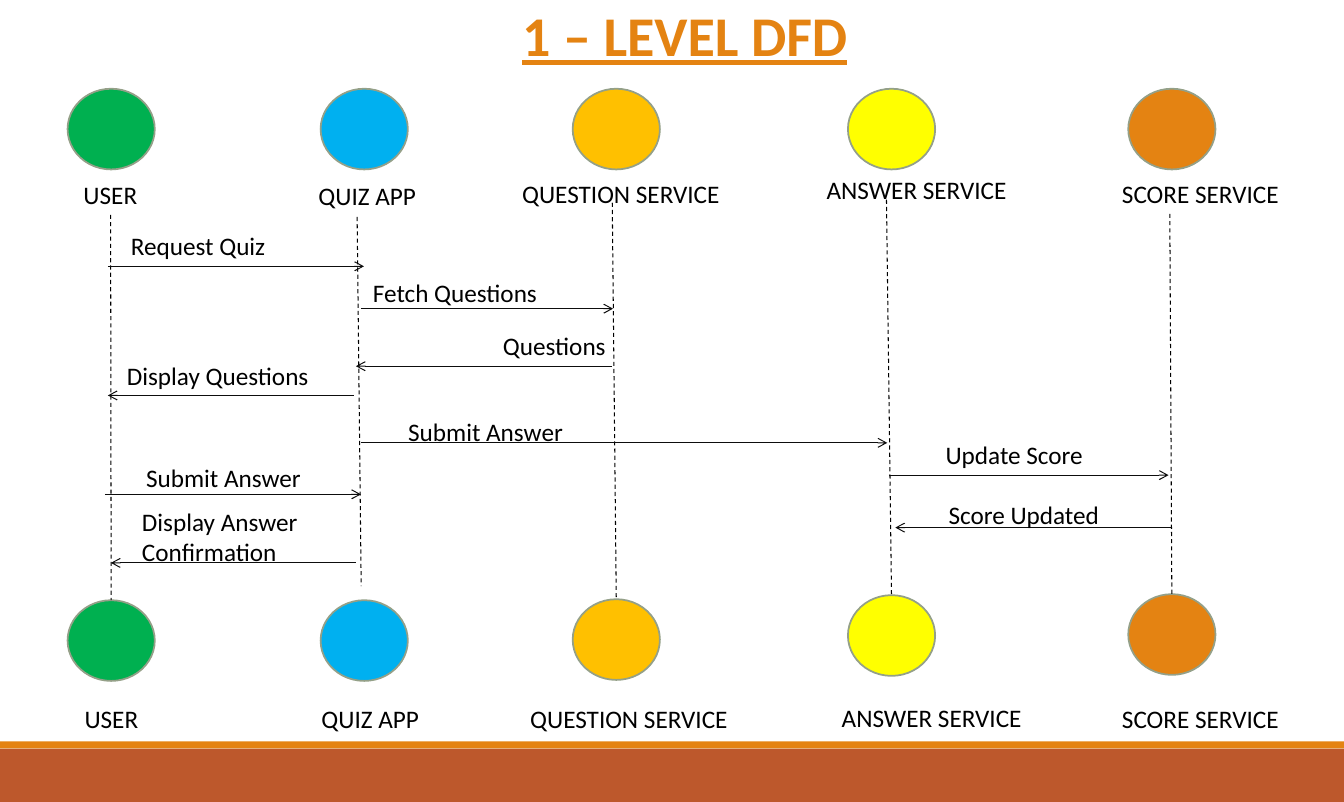
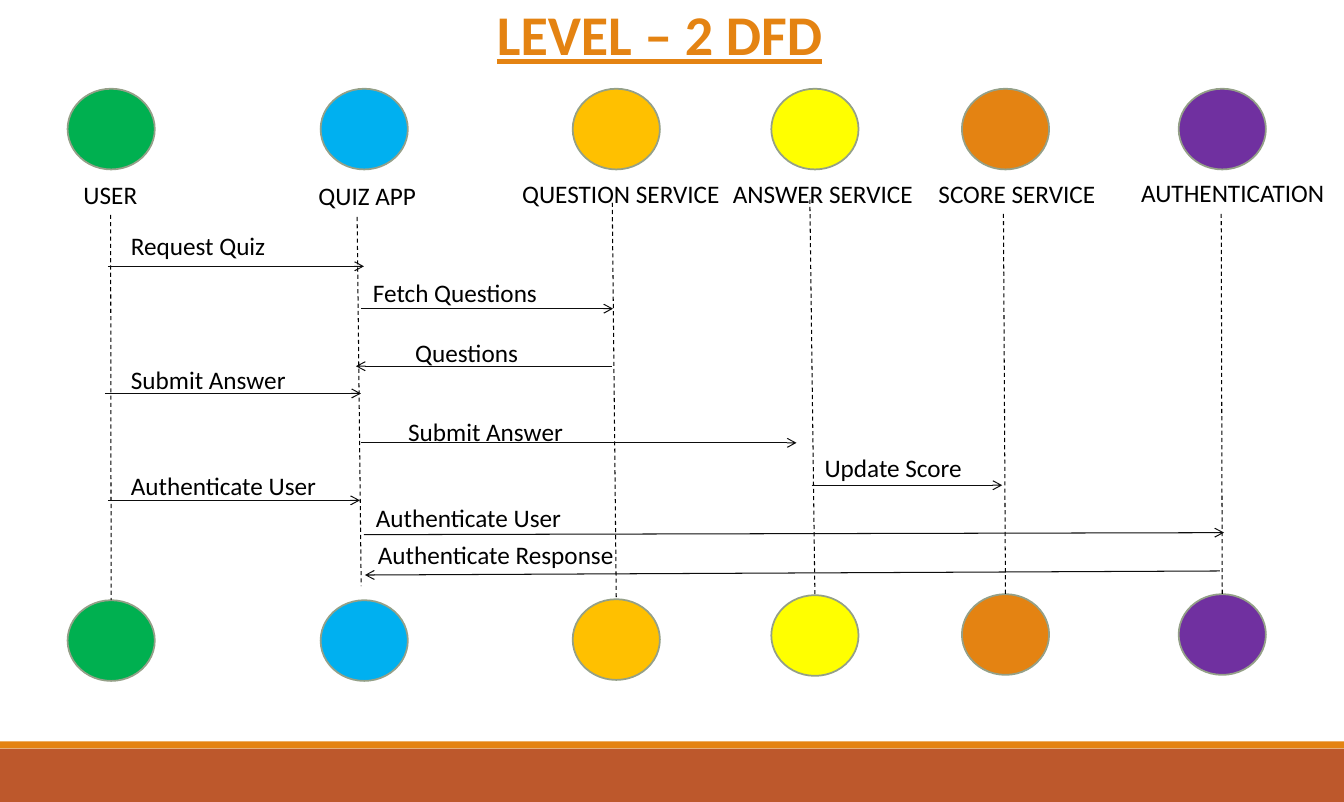
from dataclasses import dataclass

import pptx
import pptx.dml.color
import pptx.enum.dml
import pptx.enum.shapes
import pptx.enum.text
import pptx.oxml.xmlchemy
import pptx.util

COLUMNS, ROWS = 133.3, 79.5
CELL = pptx.util.Inches(0.1)


@dataclass(frozen=True)
class Theme:
    """Colours, type styles and line weights of the deck."""
    band: str = "BD582C"
    accent: str = "E48312"
    ink: str = "000000"
    arrow: str = "0D0D0D"
    outline: str = "94A088"
    outline_weight: float = 1.25
    thin: float = 0.75
    font: str = "Calibri"
    title_size: int = 40
    label_size: int = 18


@dataclass(frozen=True)
class Box:
    """A region measured in grid columns and rows."""
    left: float
    top: float
    width: float
    height: float

    def inner(self, column, row, width, height):
        """Return a region placed relative to this one."""
        return Box(self.left + column, self.top + row, width, height)

    def emu(self):
        """Return left, top, width and height in slide units."""
        return [cells(v) for v in (self.left, self.top, self.width, self.height)]


@dataclass(frozen=True)
class Actor:
    """A participant; rows count from the top of its head circle."""
    name: str
    color: str
    name_width: float
    height: float
    life_row: float
    lean: float
    life_end: tuple = ()


@dataclass(frozen=True)
class Lane:
    """An actor's column with the places of its captions."""
    actor: Actor
    column: float
    caption: tuple
    foot_caption: tuple = ()


@dataclass(frozen=True)
class Message:
    """An arrow between two columns and its caption place."""
    text: str
    start: float
    end: float
    row: float
    caption: tuple
    drop: float = 0
    wrap: bool = False


THEME = Theme()
TITLE_STYLE = {"name": THEME.font, "size": pptx.util.Pt(THEME.title_size),
               "bold": True, "underline": True}
LABEL_STYLE = {"name": THEME.font, "size": pptx.util.Pt(THEME.label_size)}
FOOTER = Box(0, 73.5, COLUMNS, 6)
DIAGRAM = Box(0, 8.8, COLUMNS, 64.7)
CIRCLE_WIDTH, CIRCLE_HEIGHT = 8.65, 8
LABEL_HEIGHT = 4

USER = Actor("USER", "00B050", 7.4, 58.7, 12.5, -0.05)
QUIZ = Actor("QUIZ APP", "00B0F0", 11.8, 58.7, 12.7, -0.7, (-0.3, 49.3))
QUESTION = Actor("QUESTION SERVICE", "FFC000", 21.8, 58.6, 11.3, -0.4)
ANSWER = Actor("ANSWER SERVICE", "FFFF00", 20, 58.2, 11, -0.5)
SCORE = Actor("SCORE SERVICE", THEME.accent, 17.7, 58.1, 12.4, -0.2)
AUTHENTICATION = Actor("AUTHENTICATION", "7030A0", 20.3, 58.1, 12.4, -0.1)

REQUEST = Message("Request Quiz", 10.7, 36.1, 17.6, (12, 13.5, 15.5))
FETCH = Message("Fetch Questions", 35.8, 60.8, 21.8, (36, 18.2, 18.5))

LEVEL_ONE_LANES = [
    Lane(USER, 6.7, (0.6, 8.5), (0.7, 60.4)),
    Lane(QUIZ, 31.8, (-1.2, 8.6), (-0.9, 60.4)),
    Lane(QUESTION, 56.8, (-6, 8.4), (-5.2, 60.4)),
    Lane(ANSWER, 84.1, (-3.1, 8), (-1.6, 60.3)),
    Lane(SCORE, 111.9, (-1.6, 8.4), (-1.6, 60.4)),
]
LEVEL_ONE_MESSAGES = [
    REQUEST,
    FETCH,
    Message("Questions", 60.7, 35.3, 27.5, (48.9, 23.5, 12.3)),
    Message("Display Questions", 35.1, 10.7, 30.4, (11.6, 26.4, 20.2)),
    Message("Submit Answer", 35.8, 88, 35.1, (39.5, 32, 17.5)),
    Message("Update Score", 88.2, 115.9, 38.3, (92.8, 34.3, 15.8)),
    Message("Submit Answer", 10.4, 35.8, 40.2, (13.5, 36.5, 17.5)),
    Message("Score Updated", 116.2, 88.8, 43.5, (93.1, 40.2, 17.1)),
    Message("Display Answer\nConfirmation", 35.3, 11, 47, (13.1, 40.9, 18.2)),
]
LEVEL_TWO_LANES = [
    Lane(USER, 6.7, (0.6, 8.5)),
    Lane(QUIZ, 31.8, (-1.2, 8.6)),
    Lane(QUESTION, 56.8, (-6, 8.4)),
    Lane(ANSWER, 76.5, (-4.8, 8.4)),
    Lane(SCORE, 95.4, (-3.3, 8.4)),
    Lane(AUTHENTICATION, 116.9, (-4.7, 8.3)),
]
LEVEL_TWO_MESSAGES = [
    REQUEST,
    FETCH,
    Message("Questions", 60.7, 35.3, 27.5, (40.2, 24.1, 12.3)),
    Message("Submit Answer", 10.4, 35.8, 30.2, (12, 26.8, 17.5)),
    Message("Submit Answer", 35.8, 79, 35.1, (39.5, 32, 17.5)),
    Message("Update Score", 80.5, 99.4, 39.3, (80.8, 35.5, 15.8)),
    Message("Authenticate User", 10.7, 35.7, 40.8, (12, 37.3, 20.6)),
    Message("Authenticate User", 36.1, 121.4, 44.2, (36.3, 40.5, 66.7), -0.2, True),
    Message("Authenticate Response", 121, 36.2, 47.8, (36.5, 44.2, 66.7), 0.4, True),
]


def cells(count):
    """Convert grid cells to slide units."""
    return round(count * CELL)


def rgb(color):
    """Return the colour object of a hex value."""
    return pptx.dml.color.RGBColor.from_string(color)


def add_text(slide, box, text, style, color=THEME.ink, wrap=False):
    """Write text, one paragraph a line, in a box that fits it."""
    frame = slide.shapes.add_textbox(*box.emu()).text_frame
    frame.text = text
    frame.word_wrap = wrap
    frame.auto_size = pptx.enum.text.MSO_AUTO_SIZE.SHAPE_TO_FIT_TEXT
    for paragraph in frame.paragraphs:
        for key, value in style.items():
            setattr(paragraph.font, key, value)
        paragraph.font.color.rgb = rgb(color)


def add_filled(slide, box, kind, color, outline=None):
    """Draw a filled preset shape, outlined when a colour is given."""
    shape = slide.shapes.add_shape(kind, *box.emu())
    shape.shadow.inherit = False
    shape.fill.solid()
    shape.fill.fore_color.rgb = rgb(color)
    if outline:
        shape.line.color.rgb = rgb(outline)
        shape.line.width = pptx.util.Pt(THEME.outline_weight)
    else:
        shape.line.fill.background()
    return shape


def add_line(slide, start, end, color):
    """Draw a thin straight connector without a shadow."""
    line = slide.shapes.add_connector(
        pptx.enum.shapes.MSO_CONNECTOR.STRAIGHT, *map(cells, (*start, *end)))
    line.line.color.rgb = rgb(color)
    line.line.width = pptx.util.Pt(THEME.thin)
    properties = line._element.spPr
    properties.append(pptx.oxml.xmlchemy.OxmlElement("a:effectLst"))
    return line


def draw_footer(slide, box):
    """Draw the stripe and the band at the foot of a slide."""
    stripe = 0.7
    rectangle = pptx.enum.shapes.MSO_SHAPE.RECTANGLE
    add_filled(slide, box.inner(0, stripe, box.width, box.height - stripe),
               rectangle, THEME.band)
    add_filled(slide, box.inner(0, 0, box.width, stripe), rectangle, THEME.accent)


def draw_lane(slide, box, lane):
    """Draw an actor's circles, captions and dashed lifeline."""
    actor = lane.actor
    oval = pptx.enum.shapes.MSO_SHAPE.OVAL
    _, foot = [
        add_filled(slide, box.inner(0, row, box.width, CIRCLE_HEIGHT),
                   oval, actor.color, THEME.outline)
        for row in (0, box.height - CIRCLE_HEIGHT)]
    for place in filter(None, (lane.caption, lane.foot_caption)):
        add_text(slide, box.inner(*place, actor.name_width, LABEL_HEIGHT),
                 actor.name, LABEL_STYLE)
    center = box.left + box.width / 2
    lean, end_row = actor.life_end or (0, box.height - CIRCLE_HEIGHT)
    life = add_line(slide, (center + actor.lean, box.top + actor.life_row),
                    (center + lean, box.top + end_row), THEME.ink)
    life.line.dash_style = pptx.enum.dml.MSO_LINE.DASH
    if not actor.life_end:
        life.end_connect(foot, 0)


def draw_message(slide, box, message):
    """Draw one message arrow with its caption inside the diagram."""
    row = box.top + message.row
    arrow = add_line(slide, (box.left + message.start, row),
                     (box.left + message.end, row + message.drop), THEME.arrow)
    head = pptx.oxml.xmlchemy.OxmlElement("a:tailEnd")
    head.set("type", "arrow")
    arrow.line._get_or_add_ln().append(head)
    height = 7.1 if "\n" in message.text else LABEL_HEIGHT
    add_text(slide, box.inner(*message.caption, height), message.text,
             LABEL_STYLE, wrap=message.wrap)


def draw_diagram(slide, box, lanes, messages):
    """Draw all lanes and the messages between them."""
    for lane in lanes:
        draw_lane(slide, box.inner(lane.column, 0, CIRCLE_WIDTH, lane.actor.height), lane)
    for message in messages:
        draw_message(slide, box, message)


def add_dfd_slide(deck, title, title_box, title_wrap, lanes, messages):
    """Add a slide with a title, a sequence diagram and the footer."""
    slide = deck.slides.add_slide(deck.slide_layouts[6])
    draw_footer(slide, FOOTER)
    add_text(slide, title_box, title, TITLE_STYLE, THEME.accent, title_wrap)
    draw_diagram(slide, DIAGRAM, lanes, messages)


def main():
    """Build and save the deck."""
    deck = pptx.Presentation()
    deck.slide_width, deck.slide_height = cells(COLUMNS), cells(ROWS)
    add_dfd_slide(deck, "1 – LEVEL DFD", Box(50.8, -0.4, 34.6, 7.7), False,
                  LEVEL_ONE_LANES, LEVEL_ONE_MESSAGES)
    add_dfd_slide(deck, "LEVEL – 2 DFD", Box(48.3, -0.5, 52.2, 7.7), True,
                  LEVEL_TWO_LANES, LEVEL_TWO_MESSAGES)
    deck.save("out.pptx")


if __name__ == "__main__":
    main()
